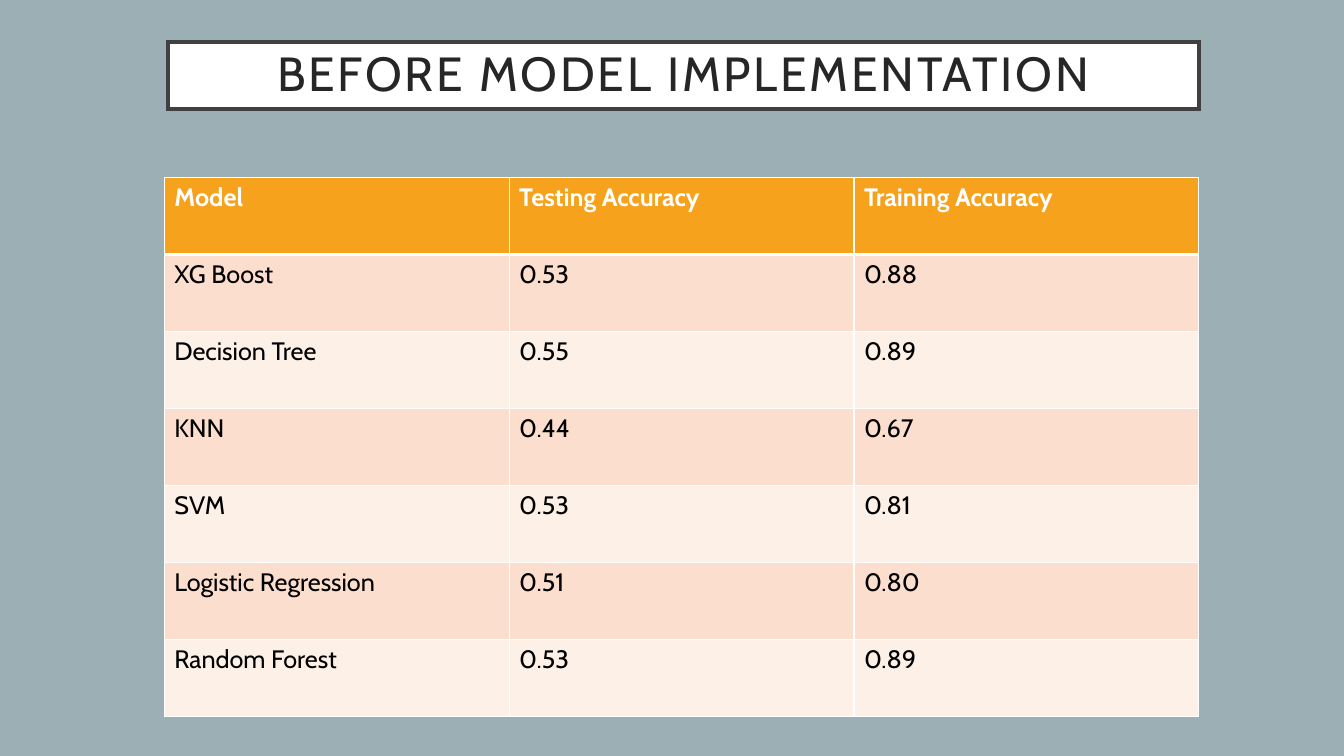
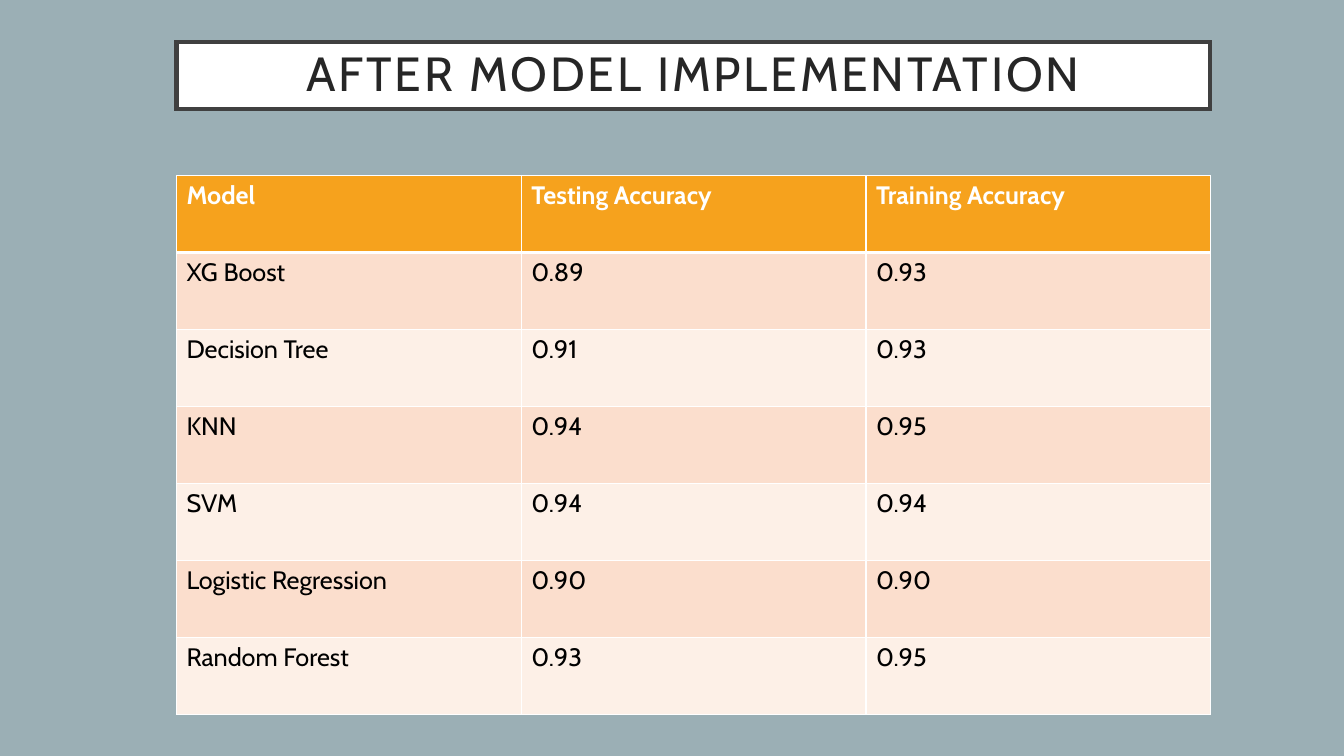
import dataclasses
import typing

import lxml.etree
import pptx
import pptx.dml.color
import pptx.enum.shapes
import pptx.enum.text
import pptx.oxml.ns
import pptx.util


@dataclasses.dataclass(frozen=True)
class Theme:
    font: str = "Cabin"
    background: str = "9BAFB5"
    paper: str = "FFFFFF"
    frame: str = "404040"
    title_ink: str = "262626"
    body_ink: str = "000000"
    header: str = "F6A21D"
    bands: tuple[str, str] = ("FBDECD", "FDF0E7")
    title_size: float = 34.2
    table_size: float = 18
    title_tracking: float = 2
    thin: float = 1
    thick: float = 3


@dataclasses.dataclass(frozen=True)
class Box:
    left: float
    top: float
    width: float
    height: float

    def emu(self) -> tuple[int, ...]:
        return tuple(pptx.util.Inches(v) for v in dataclasses.astuple(self))


@dataclasses.dataclass(frozen=True)
class Score:
    model: str
    testing: float
    training: float

    def texts(self) -> tuple[str, str, str]:
        return self.model, f"{self.testing:.2f}", f"{self.training:.2f}"


@dataclasses.dataclass(frozen=True)
class ResultSlide:
    title: str
    title_box: Box
    table_box: Box
    scores: tuple[Score, ...]


THEME = Theme()
HEADINGS = ("Model", "Testing Accuracy", "Training Accuracy")

SLIDES = (
    ResultSlide(
        "BEFORE MODEL IMPLEMENTATION",
        Box(1.67, 0.42, 10.22, 0.66),
        Box(1.63, 1.76, 10.26, 5.35),
        (
            Score("XG Boost", 0.53, 0.88),
            Score("Decision Tree", 0.55, 0.89),
            Score("KNN", 0.44, 0.67),
            Score("SVM", 0.53, 0.81),
            Score("Logistic Regression", 0.51, 0.80),
            Score("Random Forest", 0.53, 0.89),
        ),
    ),
    ResultSlide(
        "AFTER MODEL IMPLEMENTATION",
        Box(1.75, 0.42, 10.25, 0.66),
        Box(1.75, 1.74, 10.26, 5.35),
        (
            Score("XG Boost", 0.89, 0.93),
            Score("Decision Tree", 0.91, 0.93),
            Score("KNN", 0.94, 0.95),
            Score("SVM", 0.94, 0.94),
            Score("Logistic Regression", 0.90, 0.90),
            Score("Random Forest", 0.93, 0.95),
        ),
    ),
)


def set_fill(fill: typing.Any, color: str) -> None:
    fill.solid()
    fill.fore_color.rgb = pptx.dml.color.RGBColor.from_string(color)


def set_font(r: typing.Any, size: float, color: str, bold: bool = False) -> None:
    r.font.name = THEME.font
    r.font.size = pptx.util.Pt(size)
    r.font.bold = bold
    r.font.color.rgb = pptx.dml.color.RGBColor.from_string(color)


def set_borders(cell: typing.Any, top: float, bottom: float) -> None:
    tc_pr = cell._tc.get_or_add_tcPr()
    qn = pptx.oxml.ns.qn
    widths = {"lnL": THEME.thin, "lnR": THEME.thin, "lnT": top, "lnB": bottom}
    for side, width in widths.items():
        ln = lxml.etree.SubElement(tc_pr, qn(f"a:{side}"), w=str(pptx.util.Pt(width)))
        solid = lxml.etree.SubElement(ln, qn("a:solidFill"))
        lxml.etree.SubElement(solid, qn("a:srgbClr"), val=THEME.paper)


def add_title(s: typing.Any, text: str, box: Box) -> None:
    sp = s.shapes.add_shape(pptx.enum.shapes.MSO_SHAPE.RECTANGLE, *box.emu())
    sp.shadow.inherit = False
    set_fill(sp.fill, THEME.paper)
    set_fill(sp.line.fill, THEME.frame)
    sp.line.width = pptx.util.Pt(THEME.thick)
    ln = sp.line._get_or_add_ln()
    lxml.etree.SubElement(ln, pptx.oxml.ns.qn("a:miter"), lim="800000")
    tf = sp.text_frame
    tf.text = text
    tf.word_wrap = True
    tf.vertical_anchor = pptx.enum.text.MSO_ANCHOR.MIDDLE
    tf.margin_left = tf.margin_right = pptx.util.Inches(0.3)
    tf.margin_top = tf.margin_bottom = 0
    p = tf.paragraphs[0]
    p.alignment = pptx.enum.text.PP_ALIGN.CENTER
    p.line_spacing = 0.9
    r = p.runs[0]
    set_font(r, THEME.title_size, THEME.title_ink)
    r.font._element.set("spc", str(int(THEME.title_tracking * 100)))


def add_scores(s: typing.Any, scores: tuple[Score, ...], box: Box) -> None:
    rows = (HEADINGS, *(score.texts() for score in scores))
    table = s.shapes.add_table(len(rows), len(HEADINGS), *box.emu()).table
    for i, texts in enumerate(rows):
        is_header = i == 0
        fill = THEME.header if is_header else THEME.bands[(i - 1) % 2]
        ink = THEME.paper if is_header else THEME.body_ink
        top = THEME.thick if i == 1 else THEME.thin
        bottom = THEME.thick if is_header else THEME.thin
        for j, text in enumerate(texts):
            cell = table.cell(i, j)
            cell.text = text
            set_borders(cell, top, bottom)
            set_fill(cell.fill, fill)
            r = cell.text_frame.paragraphs[0].runs[0]
            set_font(r, THEME.table_size, ink, is_header)


def main() -> None:
    prs = pptx.Presentation()
    prs.slide_width = pptx.util.Inches(13.33)
    prs.slide_height = pptx.util.Inches(7.5)
    set_fill(prs.slide_master.background.fill, THEME.background)
    blank = prs.slide_layouts.get_by_name("Blank")
    for result in SLIDES:
        s = prs.slides.add_slide(blank)
        add_title(s, result.title, result.title_box)
        add_scores(s, result.scores, result.table_box)
    prs.save("out.pptx")


if __name__ == "__main__":
    main()
